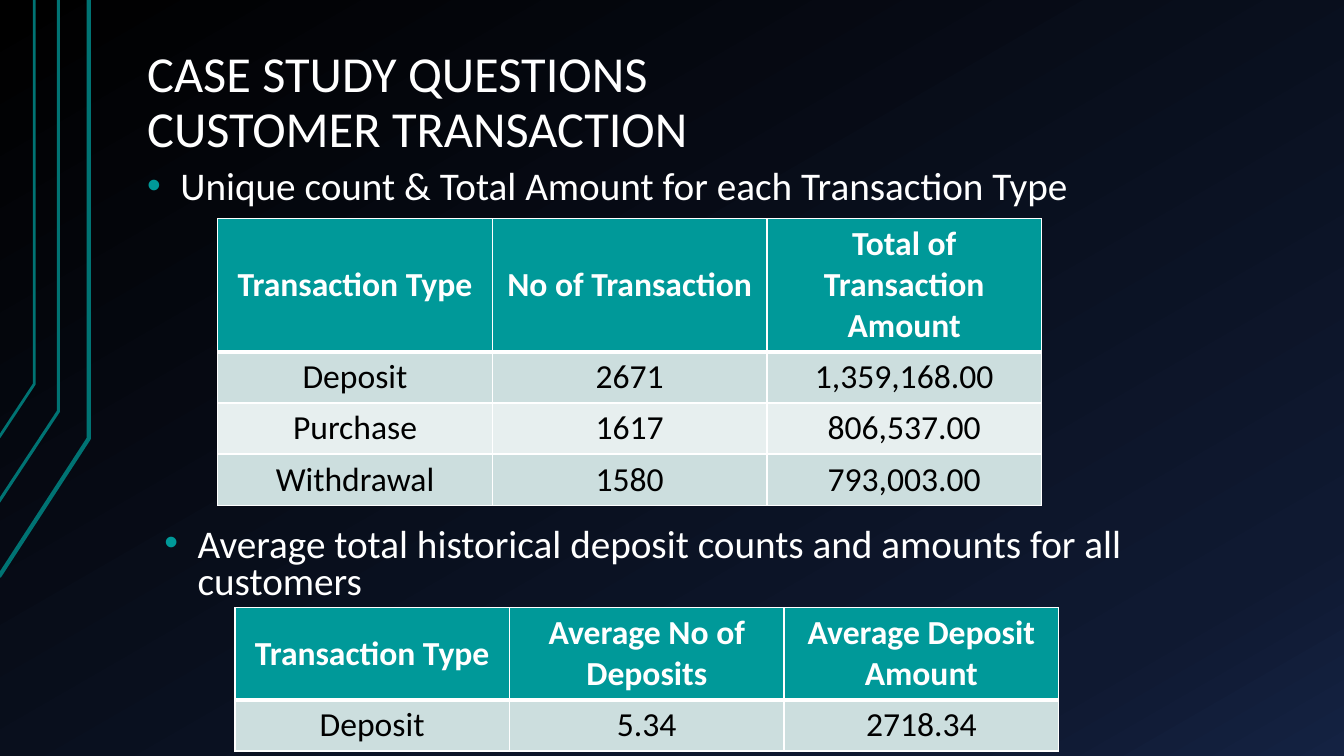
"""Build the customer transaction slide with two summary tables."""
from copy import deepcopy

from lxml import etree
from pptx import Presentation
from pptx.dml.color import RGBColor
from pptx.enum.text import MSO_ANCHOR as ANCHOR, MSO_AUTO_SIZE as AUTO, PP_ALIGN as ALIGN
from pptx.oxml import parse_xml
from pptx.oxml.ns import nsdecls, qn
from pptx.util import Inches, Pt

WHITE = RGBColor(0xFF, 0xFF, 0xFF)
BLACK = RGBColor(0x00, 0x00, 0x00)
NAVY = RGBColor(0x0F, 0x19, 0x31)
BLUE = RGBColor(0x14, 0x22, 0x42)
TEAL = RGBColor(0x00, 0x99, 0x99)
DARK_TEAL = RGBColor(0x00, 0x73, 0x73)
BAND_DARK = RGBColor(0xCC, 0xDE, 0xDE)
BAND_LIGHT = RGBColor(0xE7, 0xEF, 0xEF)


def style_text(tf, size, color, spacing=1.0, bold=False):
    p = tf.paragraphs[0]
    p.line_spacing = spacing
    for r in p.runs:
        r.font.name = "Calibri"
        r.font.size = Pt(size)
        r.font.bold = bold
        r.font.color.rgb = color
    return p


def set_frame(tf, anchor):
    tf.word_wrap = True
    tf.auto_size = AUTO.NONE
    tf.vertical_anchor = anchor
    tf.margin_left = tf.margin_right = Inches(0.13)
    tf.margin_top = tf.margin_bottom = Inches(0.07)


prs = Presentation()
prs.slide_width, prs.slide_height = Inches(13.33), Inches(7.5)
s = prs.slides.add_slide(prs.slide_layouts[5])

fill = s.background.fill
fill.gradient()
fill.gradient_angle = 300
stop_list = s.element.find(".//" + qn("a:gsLst"))
stop_list.append(deepcopy(stop_list[-1]))
for stop, (position, color) in zip(fill.gradient_stops, [(0, BLACK), (0.85, NAVY), (1, BLUE)]):
    stop.position = position
    stop.color.rgb = color

strands = [(-0.01, 5.72, 0.88, 4.35, 3), (-0.02, 4.99, 0.58, 4.08, 2.25), (-0.01, 4.34, 0.34, 3.81, 2)]
for left, bottom, right, bend, width in strands:
    builder = s.shapes.build_freeform(Inches(left), Inches(bottom))
    builder.add_line_segments([(Inches(right), Inches(bend)), (Inches(right), 0)], close=False)
    sp = builder.convert_to_shape()
    sp.shadow.inherit = False
    sp.fill.background()
    sp.line.color.rgb = DARK_TEAL
    sp.line.width = Pt(width)

title = s.shapes.title
title.left, title.top, title.width, title.height = Inches(1.33), Inches(0.3), Inches(11.33), Inches(1.34)
tf = title.text_frame
set_frame(tf, ANCHOR.BOTTOM)
tf.text = "CASE STUDY QUESTIONS\vCUSTOMER TRANSACTION"
style_text(tf, 36, WHITE, 0.9).alignment = ALIGN.LEFT

bullets = [
    (1.33, 1.58, 0.9, "Unique count & Total Amount for each Transaction Type"),
    (1.5, 5.17, 0.8, "Average total historical deposit counts and amounts for all customers"),
]
for left, top, spacing, text in bullets:
    tf = s.shapes.add_textbox(Inches(left), Inches(top), Inches(10.92), Inches(0.93)).text_frame
    set_frame(tf, ANCHOR.TOP)
    tf.text = text
    p = style_text(tf, 28, WHITE, spacing)
    p.space_before = Pt(16)
    pPr = p._p.get_or_add_pPr()
    pPr.set("marL", str(Inches(0.33)))
    pPr.set("indent", str(-Inches(0.33)))
    pPr.append(parse_xml(f'<a:buClr {nsdecls("a")}><a:srgbClr val="{TEAL}"/></a:buClr>'))
    pPr.append(parse_xml(f'<a:buFont {nsdecls("a")} typeface="Arial"/>'))
    pPr.append(parse_xml(f'<a:buChar {nsdecls("a")} char="•"/>'))

tables = [
    (2.16, 2.17, 1.32, [
        ["Transaction Type", "No of Transaction", "Total of Transaction Amount"],
        ["Deposit", "2671", "1,359,168.00"],
        ["Purchase", "1617", "806,537.00"],
        ["Withdrawal", "1580", "793,003.00"],
    ]),
    (2.33, 6.03, 0.91, [
        ["Transaction Type", "Average No of Deposits", "Average Deposit Amount"],
        ["Deposit", "5.34", "2718.34"],
    ]),
]
ROW = 0.5
for left, top, header, rows in tables:
    height = header + ROW * (len(rows) - 1)
    table = s.shapes.add_table(len(rows), 3, Inches(left), Inches(top), Inches(8.17), Inches(height)).table
    for i, row in enumerate(rows):
        table.rows[i].height = Inches(ROW if i else header)
        band = BAND_DARK if i % 2 else BAND_LIGHT
        for j, text in enumerate(row):
            cell = table.cell(i, j)
            cell.text = text
            cell.vertical_anchor = ANCHOR.MIDDLE
            p = style_text(cell.text_frame, 24, BLACK if i else WHITE, bold=i == 0)
            p.alignment = ALIGN.CENTER
            cell.fill.solid()
            cell.fill.fore_color.rgb = band if i else TEAL
            tcPr = cell._tc.get_or_add_tcPr()
            for n, side in enumerate(["lnL", "lnR", "lnT", "lnB"]):
                thick = (i, side) in [(0, "lnB"), (1, "lnT")]
                ln = etree.Element(qn(f"a:{side}"), w=str(Pt(3 if thick else 1)))
                solid = etree.SubElement(ln, qn("a:solidFill"))
                etree.SubElement(solid, qn("a:srgbClr"), val=str(WHITE))
                tcPr.insert(n, ln)

prs.save("out.pptx")
